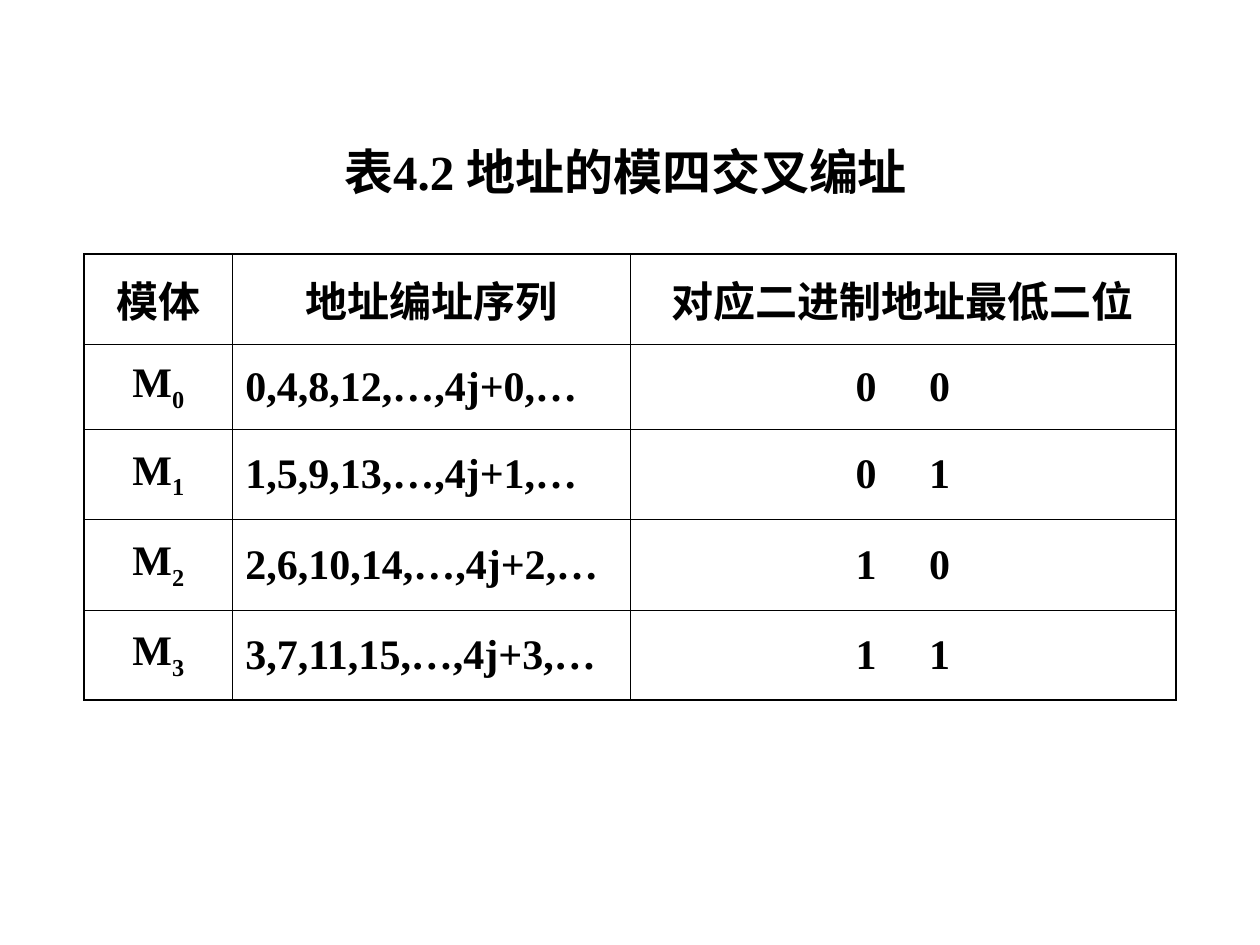
from dataclasses import dataclass

from lxml.etree import SubElement
from pptx import Presentation
from pptx.dml.color import RGBColor
from pptx.enum.text import MSO_ANCHOR as Anchor, PP_ALIGN as Align
from pptx.oxml.ns import qn
from pptx.util import Pt

COLORS = {"ink": "000000", "paper": "FFFFFF"}
OUTER_LINE, INNER_LINE = Pt(1.08), Pt(0.45)
SUBSCRIPT = {"baseline": "-25000"}
WIDE_GAP = {"spc": "2400"}  # widens the space between the two bits
MARGINS = {"margin_left": Pt(7.2), "margin_right": Pt(7.2),
           "margin_top": Pt(3.6), "margin_bottom": Pt(3.6)}


@dataclass
class Module:
    number: int
    sequence: str
    bits: str


HEADINGS = ["模体", "地址编址序列", "对应二进制地址最低二位"]
MODULES = [
    Module(0, "0,4,8,12,…,4j+0,…", "00"),
    Module(1, "1,5,9,13,…,4j+1,…", "01"),
    Module(2, "2,6,10,14,…,4j+2,…", "10"),
    Module(3, "3,7,11,15,…,4j+3,…", "11"),
]
COLUMN_WIDTHS = [85, 227, 312]
ROW_HEIGHTS = [51.6, 48.6, 51.6, 51.6, 51.6]


def set_attributes(target, values: dict) -> None:
    for name, value in values.items():
        setattr(target, name, value)


def add_run(paragraph, text: str, size: float, extra: dict | None = None) -> None:
    run = paragraph.add_run()
    run.text = text
    set_attributes(run.font, {"name": "Times New Roman", "size": Pt(size), "bold": True})
    run.font.color.rgb = RGBColor.from_string(COLORS["ink"])
    for name, value in (extra or {}).items():
        run._r.get_or_add_rPr().set(name, value)


def draw_borders(cell, widths: dict[str, int]) -> None:
    properties = cell._tc.get_or_add_tcPr()
    for side, width in widths.items():
        line = SubElement(properties, qn(f"a:ln{side}"), w=str(int(width)))
        fill = SubElement(line, qn("a:solidFill"))
        SubElement(fill, qn("a:srgbClr"), val=COLORS["ink"])


def fill_cell(cell, runs: list[tuple], alignment: Align, borders: dict[str, int]) -> None:
    set_attributes(cell, {**MARGINS, "vertical_anchor": Anchor.MIDDLE})
    draw_borders(cell, borders)
    cell.fill.solid()
    cell.fill.fore_color.rgb = RGBColor.from_string(COLORS["paper"])
    paragraph = cell.text_frame.paragraphs[0]
    paragraph.alignment = alignment
    for text, extra in runs:
        add_run(paragraph, text, 24, extra)


def add_title(slide, text: str) -> None:
    title = slide.shapes.title
    set_attributes(title, {"left": Pt(27.5), "top": Pt(77), "width": Pt(660), "height": Pt(46)})
    set_attributes(title.text_frame, {**MARGINS, "word_wrap": True,
                                      "vertical_anchor": Anchor.TOP})
    paragraph = title.text_frame.paragraphs[0]
    paragraph.alignment = Align.CENTER
    add_run(paragraph, text, 28)


def module_row(module: Module) -> list[list[tuple]]:
    first_bit, second_bit = module.bits
    return [
        [("M", None), (str(module.number), SUBSCRIPT)],
        [(module.sequence, None)],
        [(first_bit, None), (" ", WIDE_GAP), (second_bit, None)],
    ]


def add_address_table(slide) -> None:
    rows = [[[(heading, None)] for heading in HEADINGS]]
    rows += [module_row(module) for module in MODULES]
    last_row, last_column = len(rows) - 1, len(HEADINGS) - 1
    table = slide.shapes.add_table(
        len(rows), len(HEADINGS), Pt(48), Pt(145.2),
        Pt(sum(COLUMN_WIDTHS)), Pt(sum(ROW_HEIGHTS))).table
    set_attributes(table, {"first_row": False, "horz_banding": False})
    for column, width in zip(table.columns, COLUMN_WIDTHS):
        column.width = Pt(width)
    for row, height in zip(table.rows, ROW_HEIGHTS):
        row.height = Pt(height)

    # Heavier lines only around the outside
    for i, row_runs in enumerate(rows):
        for j, runs in enumerate(row_runs):
            on_edge = {"L": j == 0, "R": j == last_column, "T": i == 0, "B": i == last_row}
            borders = {side: OUTER_LINE if edge else INNER_LINE
                       for side, edge in on_edge.items()}
            is_sequence = i > 0 and j == 1
            alignment = Align.LEFT if is_sequence else Align.CENTER
            fill_cell(table.cell(i, j), runs, alignment, borders)


def main() -> None:
    presentation = Presentation()
    set_attributes(presentation, {"slide_width": Pt(720), "slide_height": Pt(540)})
    slide = presentation.slides.add_slide(presentation.slide_layouts[5])
    add_title(slide, "表4.2 地址的模四交叉编址")
    add_address_table(slide)
    presentation.save("out.pptx")


if __name__ == "__main__":
    main()
